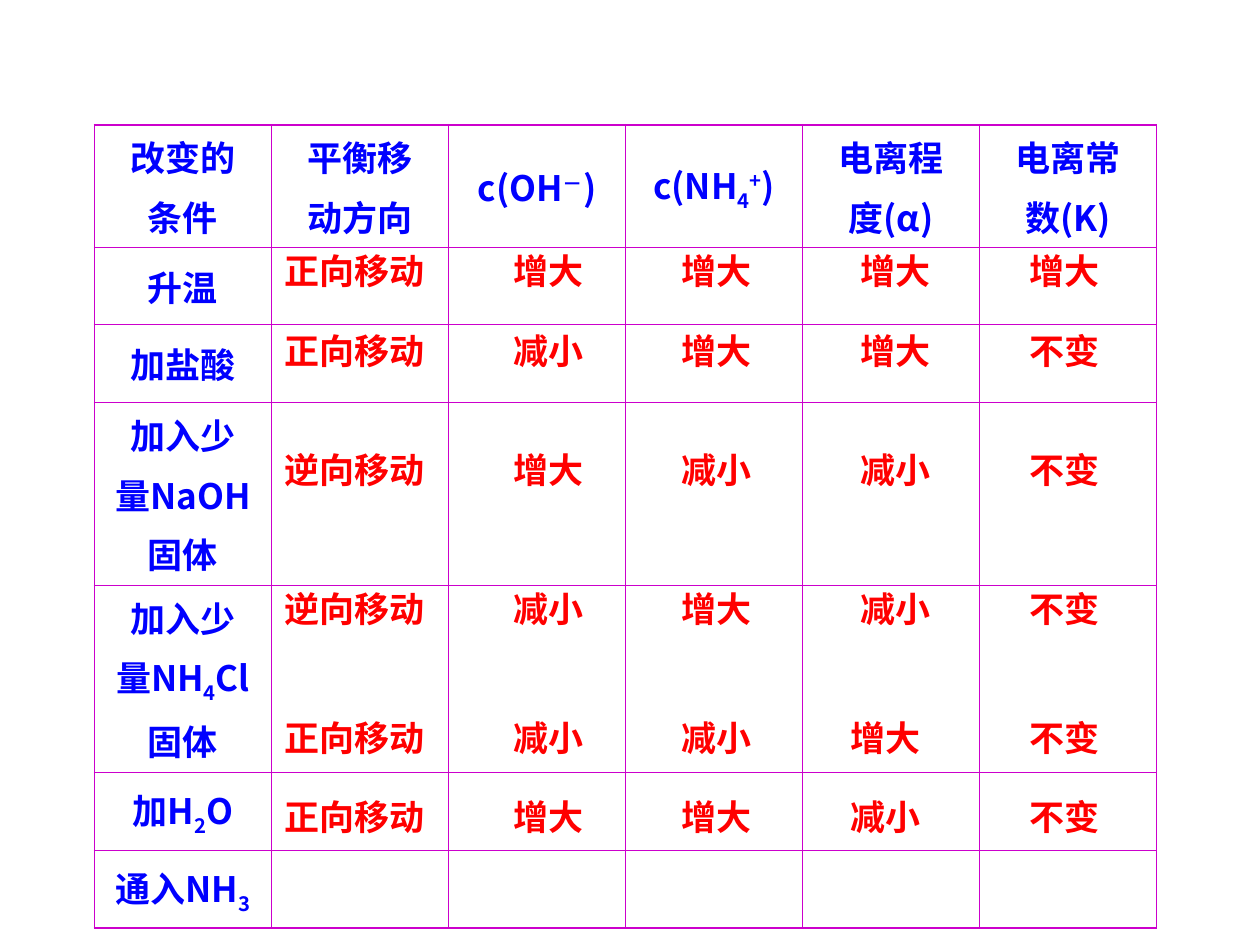
from lxml.etree import SubElement
from pptx import Presentation
from pptx.dml.color import RGBColor
from pptx.enum.text import MSO_ANCHOR as Anchor, MSO_AUTO_SIZE as AutoSize, PP_ALIGN as Align
from pptx.oxml.ns import qn
from pptx.util import Inches, Pt

FONT = "Noto Sans CJK SC"
BLUE, RED, PURPLE = "0000FF", "FF0000", "CC00CC"
THIN, THICK = 0.45, 1.08
BASELINES = {"_": "-25000", "^": "30000"}

HEADERS = ["改变的\n条件", "平衡移\n动方向", "c(OH|^－|)", "c(NH|_4|^+|)", "电离程\n度(α)", "电离常\n数(K)"]
CONDITIONS = ["升温", "加盐酸", "加入少\n量NaOH\n固体", "加入少\n量NH|_4|Cl\n固体", "加H|_2|O", "通入NH|_3"]
ROW_HEIGHTS = [0.84, 0.61, 0.62, 1.24, 1.29, 0.62, 0.62]

ANSWER_LEFTS = [2.16, 3.98, 5.31, 6.73, 8.07]
LATE_LEFTS = [2.16, 3.98, 5.31, 6.65, 8.07]
ANSWERS = [
    (1.93, ANSWER_LEFTS, ["正向移动", "增大", "增大", "增大", "增大"]),
    (2.56, ANSWER_LEFTS, ["正向移动", "减小", "增大", "增大", "不变"]),
    (3.51, ANSWER_LEFTS, ["逆向移动", "增大", "减小", "减小", "不变"]),
    (4.61, ANSWER_LEFTS, ["逆向移动", "减小", "增大", "减小", "不变"]),
    (5.63, LATE_LEFTS, ["正向移动", "减小", "减小", "增大", "不变"]),
    (6.26, LATE_LEFTS, ["正向移动", "增大", "增大", "减小", "不变"]),
]


def rgb(value):
    """Turn a hex string into a colour."""
    return RGBColor.from_string(value)


def add_run(p, text, color):
    """Add a bold run; a leading _ or ^ lowers or raises it."""
    r = p.add_run()
    r.text = text.lstrip("_^")
    r.font.name, r.font.size, r.font.bold = FONT, Pt(20), True
    r.font.color.rgb = rgb(color)
    rPr = r._r.get_or_add_rPr()
    SubElement(rPr, qn("a:ea"), typeface=FONT)
    if text[0] in BASELINES:
        rPr.set("baseline", BASELINES[text[0]])


def fill_cell(cell, text):
    """Write centred lines of blue runs into a cell."""
    cell.vertical_anchor = Anchor.MIDDLE
    tf = cell.text_frame
    for i, line in enumerate(text.split("\n")):
        p = tf.add_paragraph() if i else tf.paragraphs[0]
        p.alignment = Align.CENTER
        if i:
            p.space_before = Pt(5)
        for part in line.split("|"):
            add_run(p, part, BLUE)


def set_borders(cell, outer):
    """Draw the four cell borders, thick on the outer sides."""
    tcPr = cell._tc.get_or_add_tcPr()
    for i, (side, is_outer) in enumerate(zip("LRTB", outer)):
        width = Pt(THICK if is_outer else THIN)
        ln = tcPr.makeelement(qn(f"a:ln{side}"), {"w": str(width)})
        fill = SubElement(ln, qn("a:solidFill"))
        SubElement(fill, qn("a:srgbClr"), val=PURPLE)
        tcPr.insert(i, ln)


def add_grid(s):
    """Add the table of conditions and quantities."""
    rows, cols = len(ROW_HEIGHTS), len(HEADERS)
    frame = s.shapes.add_table(rows, cols, Inches(0.75), Inches(0.99), Inches(8.43), Inches(sum(ROW_HEIGHTS)))
    table = frame.table
    table.first_row = table.horz_banding = False
    for i, height in enumerate(ROW_HEIGHTS):
        table.rows[i].height = Inches(height)
        for j in range(cols):
            cell = table.cell(i, j)
            cell.fill.background()
            set_borders(cell, (j == 0, j == cols - 1, i == 0, i == rows - 1))
    for j, text in enumerate(HEADERS):
        fill_cell(table.cell(0, j), text)
    for i, text in enumerate(CONDITIONS, 1):
        fill_cell(table.cell(i, 0), text)


def add_answer(s, left, top, text):
    """Add one red answer over the table."""
    width = 1.65 if len(text) > 2 else 0.94
    sp = s.shapes.add_textbox(Inches(left), Inches(top), Inches(width), Inches(0.44))
    tf = sp.text_frame
    tf.word_wrap = True
    tf.auto_size = AutoSize.SHAPE_TO_FIT_TEXT
    tf.vertical_anchor = Anchor.MIDDLE
    add_run(tf.paragraphs[0], text, RED)


def main():
    """Build the slide and save it."""
    prs = Presentation()
    prs.slide_width, prs.slide_height = Inches(10), Inches(7.5)
    s = prs.slides.add_slide(prs.slide_layouts[6])
    add_grid(s)
    for top, lefts, texts in ANSWERS:
        for left, text in zip(lefts, texts):
            add_answer(s, left, top, text)
    prs.save("out.pptx")


if __name__ == "__main__":
    main()
